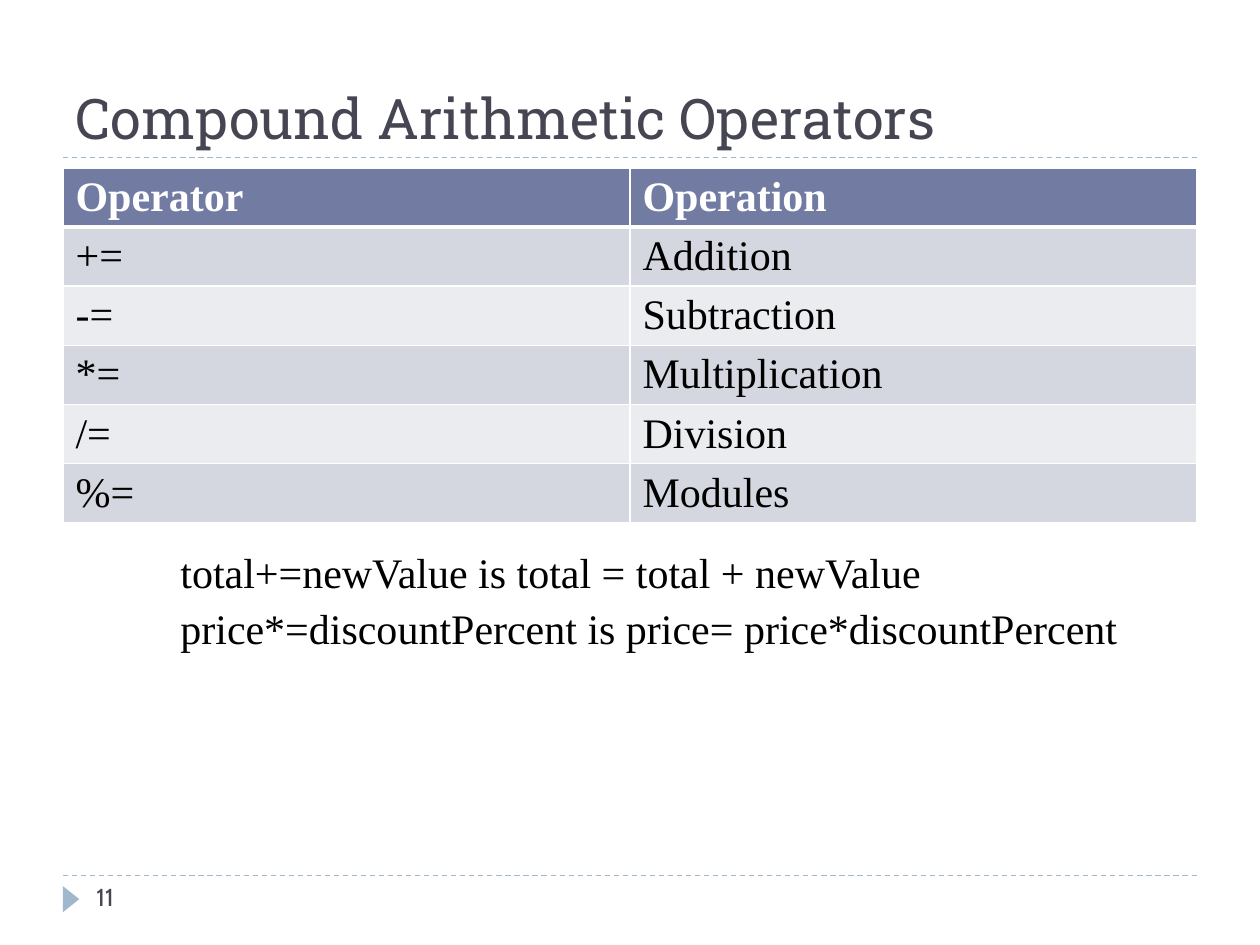
from lxml.etree import SubElement
from pptx import Presentation
from pptx.dml.color import RGBColor
from pptx.enum.dml import MSO_LINE
from pptx.enum.shapes import MSO_CONNECTOR, MSO_SHAPE
from pptx.enum.text import MSO_ANCHOR as Anchor, MSO_AUTO_SIZE as AutoSize, PP_ALIGN as Align
from pptx.oxml.ns import qn
from pptx.util import Pt

INK, ACCENT, HEADER, WHITE, BLACK = "464653", "9FB8CD", "727CA3", "FFFFFF", "000000"
BANDS = ("D5D7E0", "EBECF0")
SERIF = "Times New Roman"
OPERATORS = [
    ("Operator", "Operation"),
    ("+=", "Addition"),
    ("-=", "Subtraction"),
    ("*=", "Multiplication"),
    ("/=", "Division"),
    ("%=", "Modules"),
]
EXAMPLES = [
    "total+=newValue is total = total + newValue",
    "price*=discountPercent is price= price*discountPercent",
]


def color(value):
    return RGBColor.from_string(value)


def format_text(text_frame, size, font_name, font_color, bold=False):
    for paragraph in text_frame.paragraphs:
        paragraph.alignment = Align.LEFT
        for run in paragraph.runs:
            run.font.size = Pt(size)
            run.font.name = font_name
            run.font.bold = bold
            run.font.color.rgb = color(font_color)


def place(shape, box):
    shape.left, shape.top, shape.width, shape.height = map(Pt, box)


def add_rule(slide, left, top, width):
    rule = slide.shapes.add_connector(
        MSO_CONNECTOR.STRAIGHT, Pt(left), Pt(top), Pt(left + width), Pt(top))
    rule.line.color.rgb = color(ACCENT)
    rule.line.width = Pt(0.75)
    rule.line.dash_style = MSO_LINE.DASH
    SubElement(rule._element.spPr, qn("a:effectLst"))


def add_title(slide, box):
    left, top, width, height = box
    title = slide.shapes.title
    place(title, box)
    title.text_frame.text = "Compound Arithmetic Operators"
    title.text_frame.vertical_anchor = Anchor.BOTTOM
    title.text_frame.auto_size = AutoSize.NONE
    format_text(title.text_frame, 32, "Roboto Slab", INK)
    add_rule(slide, left, top + height, width)


def set_borders(cell, bottom_width):
    properties = cell._tc.get_or_add_tcPr()
    for side, width in (("L", 1), ("R", 1), ("T", 1), ("B", bottom_width)):
        line = SubElement(properties, qn(f"a:ln{side}"), w=str(Pt(width)))
        fill = SubElement(line, qn("a:solidFill"))
        SubElement(fill, qn("a:srgbClr"), val=WHITE)


def add_operator_table(slide, box):
    frame = slide.shapes.add_table(len(OPERATORS), 2, *map(Pt, box))
    for row_index, texts in enumerate(OPERATORS):
        is_header = row_index == 0
        for column_index, text in enumerate(texts):
            cell = frame.table.cell(row_index, column_index)
            cell.text_frame.text = text
            format_text(cell.text_frame, 24, SERIF, WHITE if is_header else BLACK, is_header)
            set_borders(cell, 3 if is_header else 1)
            cell.fill.solid()
            cell.fill.fore_color.rgb = color(HEADER if is_header else BANDS[(row_index - 1) % 2])


def add_examples(slide, box):
    text_box = slide.shapes.add_textbox(*map(Pt, box))
    text_frame = text_box.text_frame
    text_frame.text = "\n".join(EXAMPLES)
    text_frame.word_wrap = False
    text_frame.auto_size = AutoSize.SHAPE_TO_FIT_TEXT
    format_text(text_frame, 24, SERIF, BLACK)
    for paragraph in text_frame.paragraphs:
        paragraph.line_spacing = 1.1


def add_footer(slide, box):
    left, top, width, height = box
    add_rule(slide, left, top, width)
    marker = slide.shapes.add_shape(
        MSO_SHAPE.ISOSCELES_TRIANGLE, Pt(left - 2.9), Pt(top + 8.7), Pt(15), Pt(9.4))
    marker.rotation = 90
    marker.shadow.inherit = False
    marker.fill.solid()
    marker.fill.fore_color.rgb = color(ACCENT)
    marker.line.fill.background()
    number = slide.shapes.add_textbox(Pt(left + 12), Pt(top), Pt(156), Pt(height))
    number.text_frame.word_wrap = True
    number.text_frame.text = "11"
    format_text(number.text_frame, 14, "Cabin", INK)


def main():
    presentation = Presentation()
    presentation.slide_width, presentation.slide_height = Pt(720), Pt(540)
    slide = presentation.slides.add_slide(presentation.slide_layouts[5])
    slide.background.fill.solid()
    slide.background.fill.fore_color.rgb = color(WHITE)
    add_title(slide, (36, 12, 648, 78))
    add_operator_table(slide, (36, 96, 648, 175.2))
    add_examples(slide, (96, 306, 554.4, 65.5))
    add_footer(slide, (36, 500.4, 648, 28.8))
    presentation.save("out.pptx")


if __name__ == "__main__":
    main()
